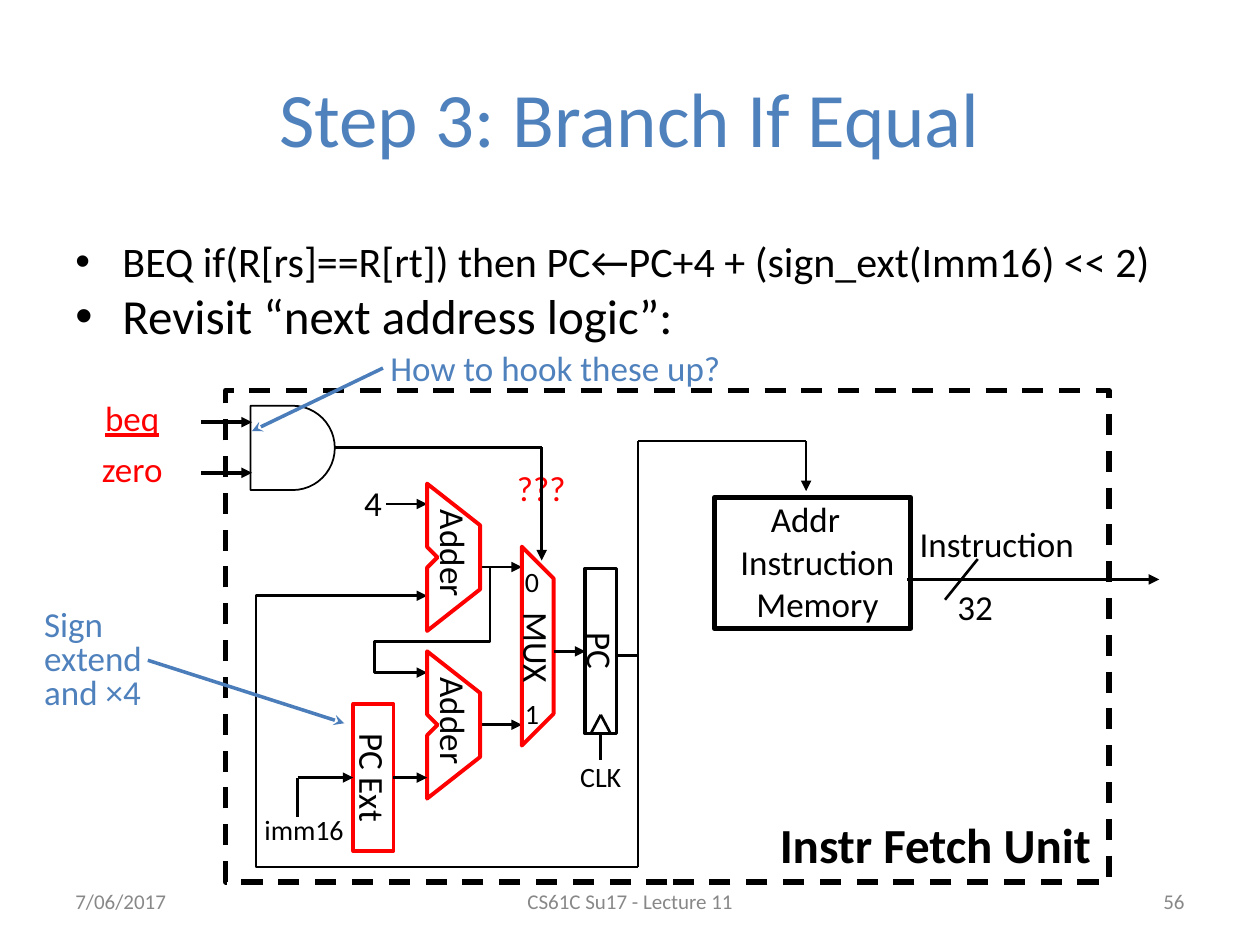
from dataclasses import dataclass

from lxml import etree
from pptx import Presentation
from pptx import util as u
from pptx.dml.color import RGBColor
from pptx.enum import dml, shapes, text as tx
from pptx.oxml.ns import qn


@dataclass(frozen=True)
class Theme:
    """Colours, font and type sizes of the slide."""
    font: str = "Calibri"
    ink: str = "000000"
    new: str = "FF0000"
    accent: str = "4F81BD"
    pointer: str = "4A7DBA"
    muted: str = "888888"
    title: int = 44
    heading: int = 28
    body: int = 24
    label: int = 20
    small: int = 16
    footer: int = 12


@dataclass(frozen=True)
class Box:
    """A region in centimetres that places its parts by offset."""
    left: float
    top: float
    width: float
    height: float

    def point(self, x, y):
        """Return an offset as slide coordinates."""
        return u.Cm(self.left + x), u.Cm(self.top + y)

    def frame(self, x, y, width, height, turned=False):
        """Return the unrotated frame of a part from the area it covers."""
        if turned:
            x, y = x + (width - height) / 2, y + (height - width) / 2
            width, height = height, width
        return (*self.point(x, y), u.Cm(width), u.Cm(height))


T = Theme()
MIDDLE = tx.MSO_ANCHOR.MIDDLE
CENTER, RIGHT = tx.PP_ALIGN.CENTER, tx.PP_ALIGN.RIGHT


def stroke(part, color, width, arrow=None):
    """Give a part its line colour, width and optional end arrowhead."""
    part.line.color.rgb = RGBColor.from_string(color)
    part.line.width = u.Pt(width)
    if arrow:
        etree.SubElement(part.line._get_or_add_ln(), qn("a:tailEnd"), type=arrow)


def write(frame, content, size=T.label, color=T.ink, align=None, anchor=None,
          wrap=False, inset=True, bold=None, underline=None, spacing=None):
    """Fill a text frame, one paragraph for each line of content."""
    frame.word_wrap = wrap
    frame.vertical_anchor = anchor or tx.MSO_ANCHOR.TOP
    if not inset:
        frame.margin_left = frame.margin_right = frame.margin_top = frame.margin_bottom = 0
    frame.text = content
    for paragraph in frame.paragraphs:
        paragraph.alignment = align or tx.PP_ALIGN.LEFT
        paragraph.line_spacing = spacing
        for run in paragraph.runs:
            font = run.font
            font.name, font.size, font.bold, font.underline = T.font, u.Pt(size), bold, underline
            font.color.rgb = RGBColor.from_string(color)


def label(slide, box, content, area, turned=False, **style):
    """Add a text box over an area of the region."""
    part = slide.shapes.add_textbox(*box.frame(*area, turned))
    part.rotation = 90 if turned else 0
    write(part.text_frame, content, **style)
    return part


def block(slide, box, width, color=T.ink, kind=shapes.MSO_SHAPE.RECTANGLE, name=None):
    """Outline the whole region, with an optional name turned sideways."""
    turned = name is not None
    part = slide.shapes.add_shape(kind, *box.frame(0, 0, box.width, box.height, turned))
    part.shadow.inherit = False
    part.fill.background()
    stroke(part, color, width)
    if turned:
        part.rotation = 90
        write(part.text_frame, name, align=CENTER, anchor=MIDDLE)
    return part


def wire(slide, box, start, end, width=1.5, color=T.ink, arrow=None):
    """Draw a straight wire."""
    part = slide.shapes.add_connector(
        shapes.MSO_CONNECTOR.STRAIGHT, *box.point(*start), *box.point(*end))
    stroke(part, color, width, arrow)
    etree.SubElement(part._element.spPr, qn("a:effectLst"))


def outline(slide, box, points, width=1.5, color=T.ink, close=False, arrow=None):
    """Draw an unfilled path through the points."""
    first, *rest = [box.point(*p) for p in points]
    builder = slide.shapes.build_freeform(*first)
    builder.add_line_segments(rest, close=close)
    part = builder.convert_to_shape()
    part.shadow.inherit = False
    part.fill.background()
    stroke(part, color, width, arrow)


def heading(slide, box):
    """Place the slide title."""
    label(slide, box, "Step 3: Branch If Equal", (0, 0, box.width, box.height),
          size=T.title, color=T.accent, align=CENTER, anchor=MIDDLE, wrap=True)


def bullets(slide, box):
    """Place the two bulleted statements."""
    part = label(slide, box, "BEQ if(R[rs]==R[rt]) then PC←PC+4 + (sign_ext(Imm16) << 2)\n"
                 "Revisit “next address logic”:", (0, 0, box.width, box.height),
                 size=T.heading, wrap=True)
    indent = u.Cm(0.95)
    for paragraph in part.text_frame.paragraphs:
        properties = paragraph._p.get_or_add_pPr()
        properties.set("marL", str(indent))
        properties.set("indent", str(-indent))
        etree.SubElement(properties, qn("a:buFont"), typeface="Arial")
        etree.SubElement(properties, qn("a:buChar"), char="•")
    part.text_frame.paragraphs[0].runs[0].font.size = u.Pt(T.body)


def fetch_unit(slide, box):
    """Draw the dashed border of the fetch unit and its name."""
    border = block(slide, box, 3)
    border.line.dash_style = dml.MSO_LINE.DASH
    label(slide, box, "Instr Fetch Unit", (10.92, 8.43, 6.86, 1.45), size=T.heading, bold=True)


def adder(slide, box):
    """Draw a notched adder."""
    w, h = box.width, box.height
    notch, slope = 0.21, 0.84
    outline(slide, box, [(0, 0), (0, h / 2 - notch), (notch, h / 2), (0, h / 2 + notch),
                         (0, h), (w, h - slope), (w, slope)], 2.25, T.new, close=True)
    label(slide, box, "Adder", (0, 0.28, 1.09, 2.29), turned=True)


def mux(slide, box):
    """Draw the multiplexer with its inputs and output."""
    w, h = box.width, box.height
    outline(slide, box, [(0, 0), (0, h), (w, h - w), (w, w)], 2.25, T.new, close=True)
    for digit, top in (("0", 0.23), ("1", 2.9)):
        label(slide, box, digit, (-0.19, top, 0.81, 0.94), size=T.small)
    label(slide, box, "MUX", (-0.23, 1.07, 1.09, 1.96), turned=True)
    wire(slide, box, (w, 2.11), (2 * w, 2.11), arrow="triangle")


def pc_register(slide, box):
    """Draw the program counter and its clock input."""
    middle, h = box.width / 2, box.height
    block(slide, box, 2, name="PC")
    for side in (-0.2, 0.2):
        wire(slide, box, (middle + side, h), (middle, h - 0.38))
    wire(slide, box, (middle, h), (middle, h + 0.53))
    label(slide, box, "CLK", (-0.1, h + 0.53, 0.84, 0.69), size=T.small, align=CENTER, inset=False)


def extender(slide, box):
    """Draw the immediate extender with its input and output."""
    middle = box.height / 2
    block(slide, box, 2, T.new, name="PC Ext")
    wire(slide, box, (box.width, middle), (1.49, middle), arrow="triangle")
    wire(slide, box, (-1.12, middle), (0, middle), arrow="triangle")
    wire(slide, box, (-1.12, middle), (-1.12, 2.27))
    label(slide, box, "imm16", (-2.04, 2.07, 2.13, 0.94), size=T.small)


def instruction_memory(slide, box):
    """Draw the instruction memory and its 32-bit output."""
    block(slide, box, 3)
    label(slide, box, "Addr", (0.89, -0.13, 2.64, 1.32), wrap=True)
    label(slide, box, "Instruction\nMemory", (0.1, 0.74, 3.96, 1.32), align=CENTER, wrap=True)
    wire(slide, box, (1.85, -1.14), (1.85, -0.13), arrow="triangle")
    wire(slide, box, (3.89, 1.65), (8.97, 1.65), 2, arrow="triangle")
    wire(slide, box, (5.31, 1.24), (4.65, 2.06))
    label(slide, box, "Instruction", (3.89, 0.38, 3.66, 1.09))
    label(slide, box, "32", (4.65, 1.65, 1.22, 1.12))


def address_wiring(slide, box):
    """Connect the program counter, adders, multiplexer and memory."""
    w, h = box.width, box.height
    outline(slide, box, [(w, h), (0, h), (0, 3.12), (3.45, 3.12)], arrow="triangle")
    outline(slide, box, [(7.26, 4.32), (w, 4.32), (w, 0)])
    wire(slide, box, (w, 4.32), (w, h))
    wire(slide, box, (w, 0), (11.09, 0))
    outline(slide, box, [(4.72, 2.54), (4.72, 4.04), (2.39, 4.04), (2.39, 4.67), (3.45, 4.67)],
            arrow="triangle")
    label(slide, box, "4", (1.93, 0.69, 0.86, 1.09))
    for start, end, y in ((2.62, 3.45, 1.27), (4.52, 5.36, 2.54), (4.52, 5.36, 5.72)):
        wire(slide, box, (start, y), (end, y), arrow="triangle")


def branch_gate(slide, box):
    """Draw the AND gate that selects the branch address."""
    block(slide, box, 1, kind=shapes.MSO_SHAPE.FLOWCHART_DELAY)
    for signal, y, underline in (("beq", 0.33, True), ("zero", 1.35, None)):
        label(slide, box, signal, (-3.78, y - 0.64, 2.79, 1.09),
              color=T.new, align=CENTER, underline=underline, wrap=True)
        wire(slide, box, (-0.99, y), (0.03, y), 2, arrow="triangle")
    label(slide, box, "???", (5.11, 1.09, 1.5, 1.09), color=T.new, align=CENTER)
    wire(slide, box, (box.width, 0.84), (5.87, 0.84), 2)
    wire(slide, box, (5.87, 0.84), (5.87, 3.12), 2, arrow="triangle")


def callout(slide, box, content, start, end, **style):
    """Place a remark and the arrow to what it is about."""
    label(slide, box, content, (0, 0, box.width, box.height), color=T.accent, **style)
    wire(slide, box, start, end, 2, T.pointer, "stealth")


def footer(slide, box):
    """Place the date, the lecture name and the slide number."""
    for content, left, width, align in (("7/06/2017", 0, 5.92, None),
                                        ("CS61C Su17 - Lecture 11", 7.41, 8.05, CENTER),
                                        ("56", 16.94, 5.92, RIGHT)):
        label(slide, box, content, (left, 0, width, box.height), size=T.footer,
              color=T.muted, align=align, anchor=MIDDLE, wrap=True)


def main():
    """Build the slide and save it."""
    deck = Presentation()
    deck.slide_width, deck.slide_height = u.Cm(25.4), u.Cm(19.05)
    slide = deck.slides.add_slide(deck.slide_layouts[6])
    heading(slide, Box(1.27, 0.76, 22.86, 3.18))
    bullets(slide, Box(1.27, 4.62, 22.86, 2.6))
    fetch_unit(slide, Box(4.55, 7.87, 17.81, 9.91))
    address_wiring(slide, Box(5.16, 8.89, 7.7, 8.59))
    for top in (9.75, 13.13):
        adder(slide, Box(8.61, top, 1.07, 2.97))
    mux(slide, Box(10.52, 11.02, 0.64, 4.01))
    pc_register(slide, Box(11.79, 11.46, 0.64, 3.33))
    extender(slide, Box(7.12, 14.19, 0.81, 2.97))
    instruction_memory(slide, Box(14.4, 10.03, 3.96, 2.64))
    branch_gate(slide, Box(5.05, 8.18, 1.7, 1.7))
    callout(slide, Box(7.62, 6.86, 7.21, 1.12), "How to hook these up?", (0.1, 0.56), (-2.54, 1.83))
    callout(slide, Box(0.64, 12.19, 2.84, 2.34), "Sign extend\vand ×4", (2.34, 1.12), (6.3, 2.39),
            wrap=True, spacing=0.8)
    footer(slide, Box(1.27, 17.65, 22.86, 1.02))
    deck.save("out.pptx")


if __name__ == "__main__":
    main()
